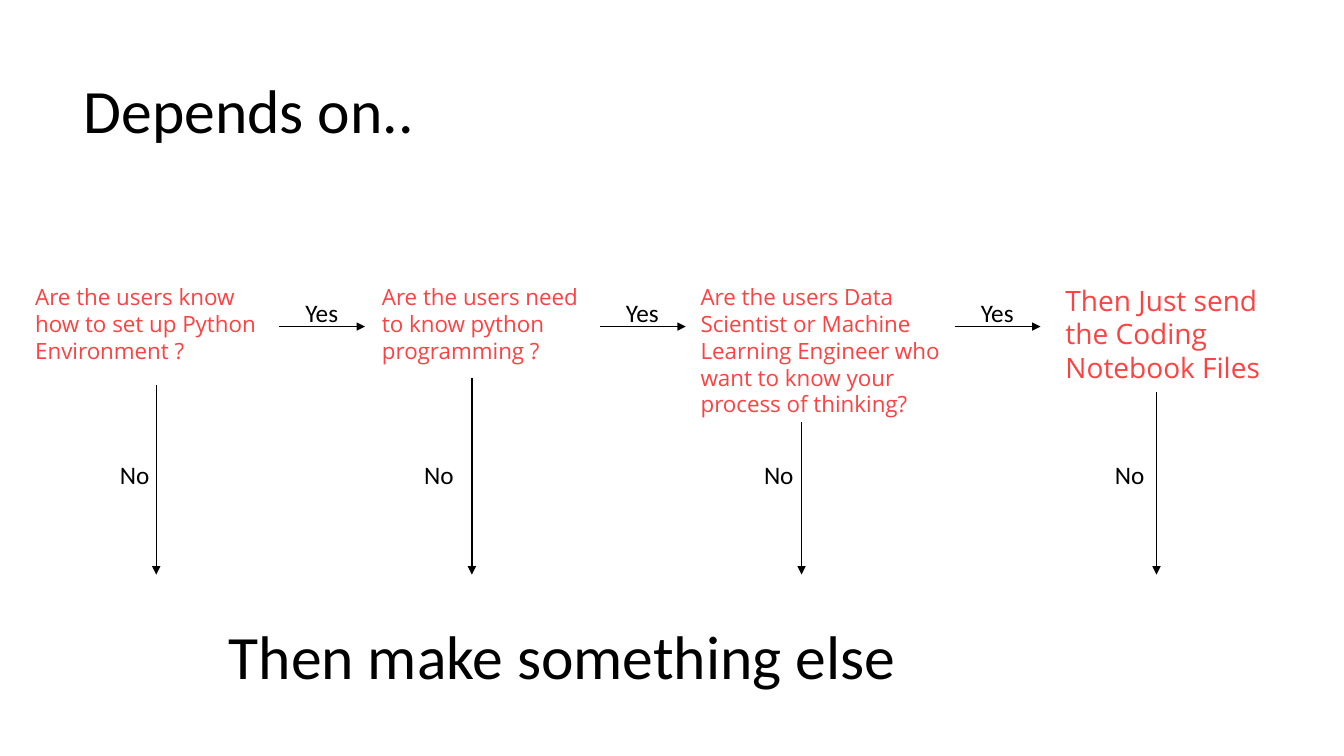
from dataclasses import dataclass

from lxml.etree import SubElement
from pptx import Presentation
from pptx.dml.color import RGBColor
from pptx.enum.text import MSO_ANCHOR, PP_ALIGN
from pptx.oxml.ns import qn
from pptx.shapes.autoshape import Shape
from pptx.slide import Slide
from pptx.enum.shapes import MSO_CONNECTOR
from pptx.util import Inches, Length, Pt

BLACK = RGBColor(0x00, 0x00, 0x00)
CORAL = RGBColor(0xFC, 0x42, 0x42)
SLIDE_WIDTH = Inches(13.33)
SLIDE_HEIGHT = Inches(7.5)

# All positions and sizes below are percentages of the slide's width or height.
QUESTION_TOP = 36.8
YES_ARROW_TOP = 43.2
YES_ARROW_LENGTH = 6.38
YES_LABEL_INDENT = 1.2
YES_LABEL_TOP = 38.67
NO_ARROW_END = 76
NO_LABEL_TOP = 60.13
LABEL_HEIGHT = 5.33
HEADING_HEIGHT = 19.33


@dataclass(frozen=True)
class Area:
    left: float
    top: float
    width: float
    height: float


@dataclass(frozen=True)
class Step:
    text: str
    size: int
    left: float
    width: float
    height: float
    no_arrow_left: float
    no_arrow_top: float
    no_label_left: float


STEPS = (
    Step("Are the users know how to set up Python Environment ?",
         16, 1.88, 19.5, 12.13, 11.63, 50.93, 8.18),
    Step("Are the users need to know python programming ?",
         16, 27.68, 17.93, 12.13, 35.11, 50, 30.83),
    Step("Are the users Data Scientist or Machine Learning Engineer who "
         "want to know your process of thinking?",
         16, 51.39, 21, 19.33, 59.64, 55.87, 56.11),
    Step("Then Just send the Coding Notebook Files",
         20, 78.54, 19.43, 14.8, 86.05, 51.87, 82.22),
)
YES_ARROW_LEFTS = (20.78, 44.64, 71.04)


def across(percent: float) -> Length:
    return Length(round(SLIDE_WIDTH * percent / 100))


def down(percent: float) -> Length:
    return Length(round(SLIDE_HEIGHT * percent / 100))


def write_text(shape: Shape, text: str, size: int, font_name: str,
               color: RGBColor) -> None:
    shape.text_frame.text = text
    paragraph = shape.text_frame.paragraphs[0]
    paragraph.alignment = PP_ALIGN.LEFT
    font = paragraph.runs[0].font
    font.size = Pt(size)
    font.name = font_name
    font.color.rgb = color


def add_text(slide: Slide, area: Area, text: str, size: int, font_name: str,
             color: RGBColor, wrap: bool = True) -> Shape:
    shape = slide.shapes.add_textbox(across(area.left), down(area.top),
                                     across(area.width), down(area.height))
    shape.text_frame.word_wrap = wrap
    write_text(shape, text, size, font_name, color)
    return shape


def add_label(slide: Slide, text: str, left: float, top: float,
              width: float) -> None:
    add_text(slide, Area(left, top, width, LABEL_HEIGHT), text, 18,
             "Calibri", BLACK, wrap=False)


def format_heading(shape: Shape) -> None:
    shape.text_frame.vertical_anchor = MSO_ANCHOR.MIDDLE
    shape.text_frame.paragraphs[0].line_spacing = 0.9


def add_arrow(slide: Slide, left: float, top: float, end_left: float,
              end_top: float) -> None:
    connector = slide.shapes.add_connector(
        MSO_CONNECTOR.STRAIGHT, across(left), down(top),
        across(end_left), down(end_top))
    connector.line.color.rgb = BLACK
    connector.line.width = Pt(1)
    SubElement(connector.line._get_or_add_ln(), qn("a:tailEnd"), type="triangle")
    SubElement(connector._element.spPr, qn("a:effectLst"))


def add_title(slide: Slide) -> None:
    title = slide.shapes.title
    title.left, title.top = across(5.48), down(5.33)
    title.width, title.height = across(86.27), down(HEADING_HEIGHT)
    write_text(title, "Depends on..", 44, "Calibri", BLACK)
    format_heading(title)


def add_step(slide: Slide, step: Step) -> None:
    """Add a question with its "No" arrow below."""
    add_text(slide, Area(step.left, QUESTION_TOP, step.width, step.height),
             step.text, step.size, "Open Sans", CORAL)
    add_arrow(slide, step.no_arrow_left, step.no_arrow_top,
              step.no_arrow_left, NO_ARROW_END)
    add_label(slide, "No", step.no_label_left, NO_LABEL_TOP, 3.75)


def add_yes_arrow(slide: Slide, left: float) -> None:
    add_arrow(slide, left, YES_ARROW_TOP, left + YES_ARROW_LENGTH, YES_ARROW_TOP)
    add_label(slide, "Yes", left + YES_LABEL_INDENT, YES_LABEL_TOP, 3.98)


def main() -> None:
    presentation = Presentation()
    presentation.slide_width = SLIDE_WIDTH
    presentation.slide_height = SLIDE_HEIGHT
    title_only_layout = presentation.slide_layouts[5]
    slide = presentation.slides.add_slide(title_only_layout)

    add_title(slide)
    for step in STEPS:
        add_step(slide, step)
    for left in YES_ARROW_LEFTS:
        add_yes_arrow(slide, left)
    conclusion = add_text(slide, Area(16.28, 77.6, 56.11, HEADING_HEIGHT),
                          "Then make something else", 44, "Calibri", BLACK)
    format_heading(conclusion)

    presentation.save("out.pptx")


if __name__ == "__main__":
    main()
